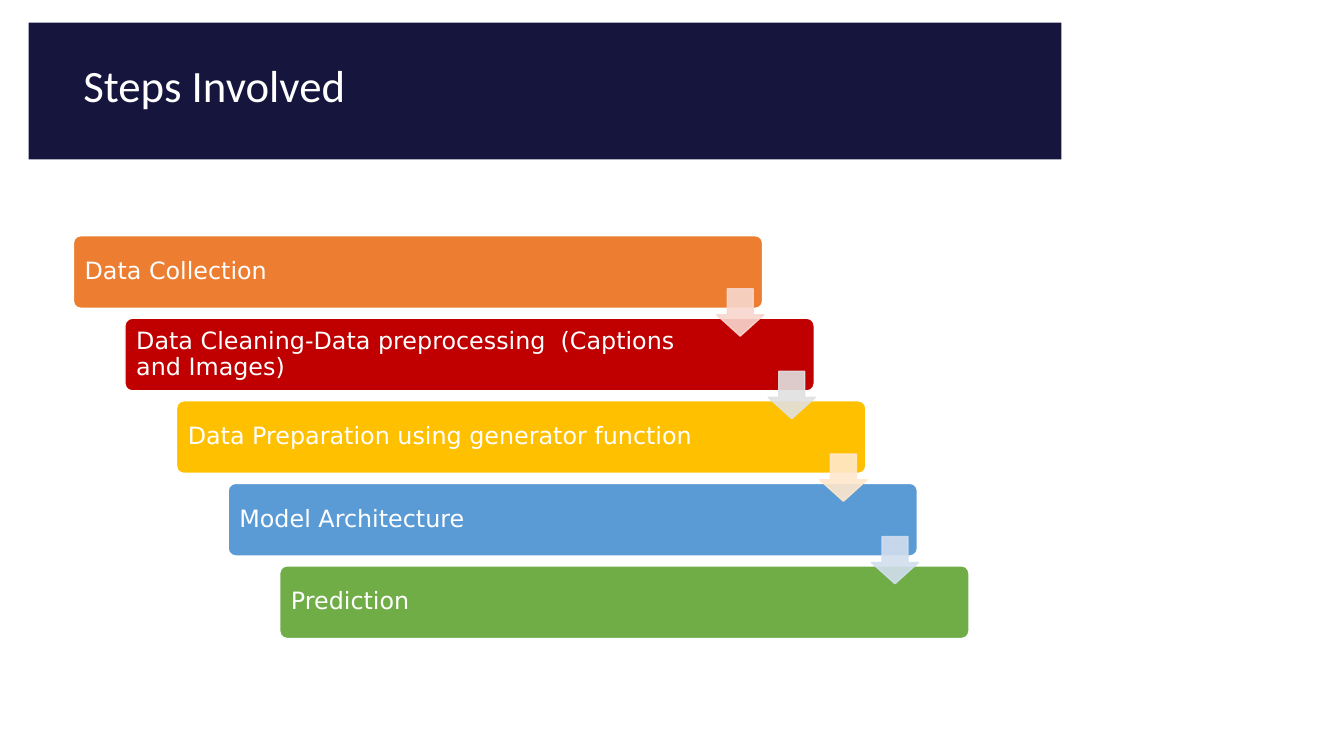
from lxml import etree
from pptx import Presentation
from pptx.dml.color import RGBColor
from pptx.enum.shapes import MSO_SHAPE
from pptx.enum.text import MSO_ANCHOR, PP_ALIGN
from pptx.oxml.ns import qn
from pptx.util import Cm, Pt

RECTANGLE = MSO_SHAPE.RECTANGLE
ROUNDED = MSO_SHAPE.ROUNDED_RECTANGLE
DOWN_ARROW = MSO_SHAPE.DOWN_ARROW
MIDDLE = MSO_ANCHOR.MIDDLE
LEFT = PP_ALIGN.LEFT

TITLE = "Steps Involved"
STEPS = [
    ("Data Collection", "ED7D31"),
    ("Data Cleaning-Data preprocessing  (Captions and Images)", "C00000"),
    ("Data Preparation using generator function", "FFC000"),
    ("Model Architecture", "5B9BD5"),
    ("Prediction", "70AD47"),
]
ARROW_COLORS = ["F8D7CE", "E1E1E1", "FFE8CC", "D2DEEF"]
WHITE, NAVY = "FFFFFF", "16153D"

# Staircase measures in centimetres
FIRST_LEFT, FIRST_TOP = 1.85, 5.94
STEP_RIGHT, STEP_DOWN = 1.3, 2.08
BAR_WIDTH, BAR_HEIGHT = 17.37, 1.83
ARROW_SIZE, ARROW_RIGHT, ARROW_DOWN = 1.19, 16.21, 1.34


def color(hex_code):
    return RGBColor.from_string(hex_code)


def add_block(page, kind, left, top, width, height, fill, line=None):
    block = page.shapes.add_shape(kind, Cm(left), Cm(top), Cm(width), Cm(height))
    block.shadow.inherit = False
    block.fill.solid()
    block.fill.fore_color.rgb = color(fill)
    if line:
        block.line.color.rgb = color(line)
        block.line.width = Pt(1)
    else:
        block.line.fill.background()
    return block


def write(frame, text, font, size):
    frame.word_wrap = True
    para = frame.paragraphs[0]
    para.text = text
    para.alignment = LEFT
    para.font.name = font
    para.font.size = Pt(size)
    para.font.color.rgb = color(WHITE)
    return para


def add_title(page):
    add_block(page, RECTANGLE, 0.72, 0.57, 26.03, 3.45, NAVY)
    box = page.shapes.add_textbox(Cm(1.85), Cm(1.32), Cm(13.08), Cm(1.62))
    write(box.text_frame, TITLE, "Calibri", 32)


def add_step(page, index, text, fill):
    bar = add_block(page, ROUNDED, FIRST_LEFT + index * STEP_RIGHT,
                    FIRST_TOP + index * STEP_DOWN, BAR_WIDTH, BAR_HEIGHT, fill, WHITE)
    bar.adjustments[0] = 0.1
    frame = bar.text_frame
    frame.vertical_anchor = MIDDLE
    frame.margin_left, frame.margin_right = Cm(0.23), Cm(2.7)
    frame.margin_top = frame.margin_bottom = Cm(0.2)
    write(frame, text, "DejaVu Sans", 17).line_spacing = 0.9


def add_arrow(page, index, fill):
    arrow = add_block(page, DOWN_ARROW, FIRST_LEFT + index * STEP_RIGHT + ARROW_RIGHT,
                      FIRST_TOP + index * STEP_DOWN + ARROW_DOWN,
                      ARROW_SIZE, ARROW_SIZE, fill, fill)
    arrow.adjustments[0] = 0.55
    arrow.adjustments[1] = 0.45
    for paint in arrow.element.spPr.iter(qn("a:srgbClr")):
        etree.SubElement(paint, qn("a:alpha"), val="90000")


def main():
    deck = Presentation()
    deck.slide_width, deck.slide_height = Cm(33.87), Cm(19.05)
    page = deck.slides.add_slide(deck.slide_layouts[6])
    for index, (text, fill) in enumerate(STEPS):
        add_step(page, index, text, fill)
    for index, fill in enumerate(ARROW_COLORS):
        add_arrow(page, index, fill)
    add_title(page)
    deck.save("out.pptx")


if __name__ == "__main__":
    main()
